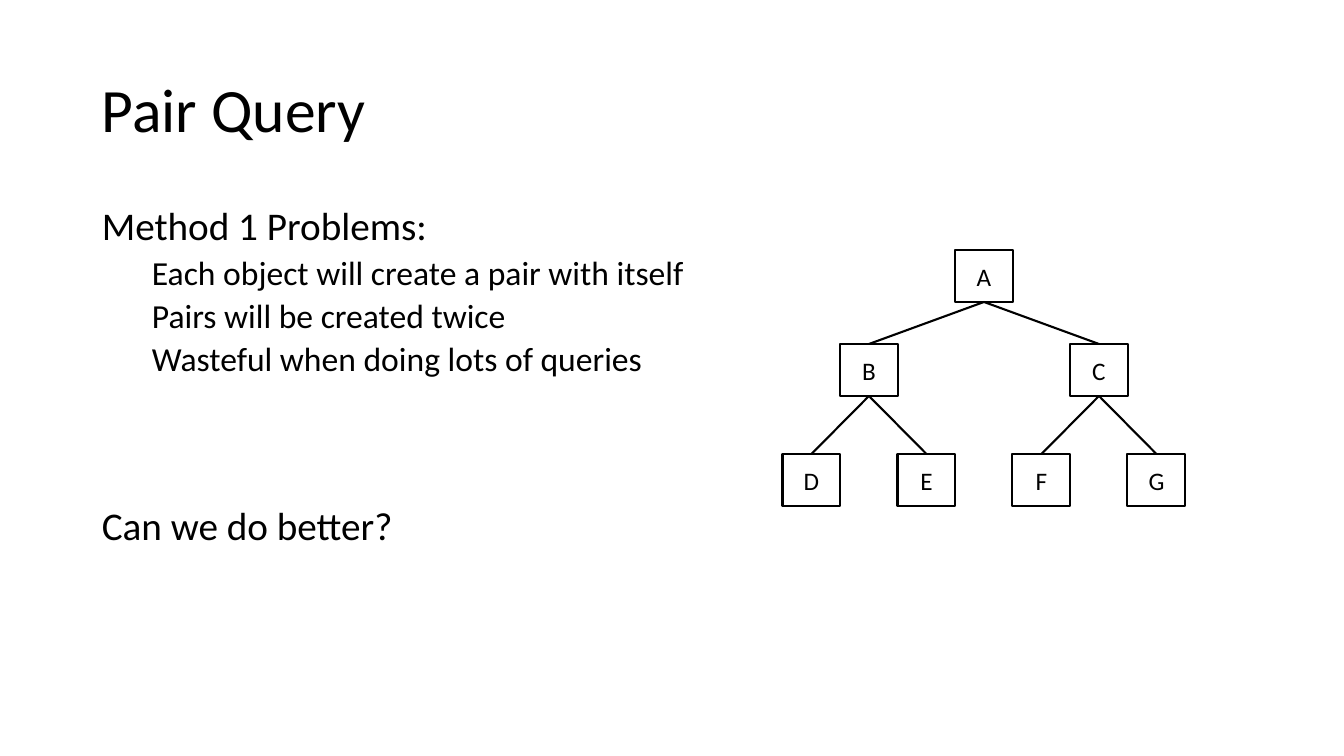
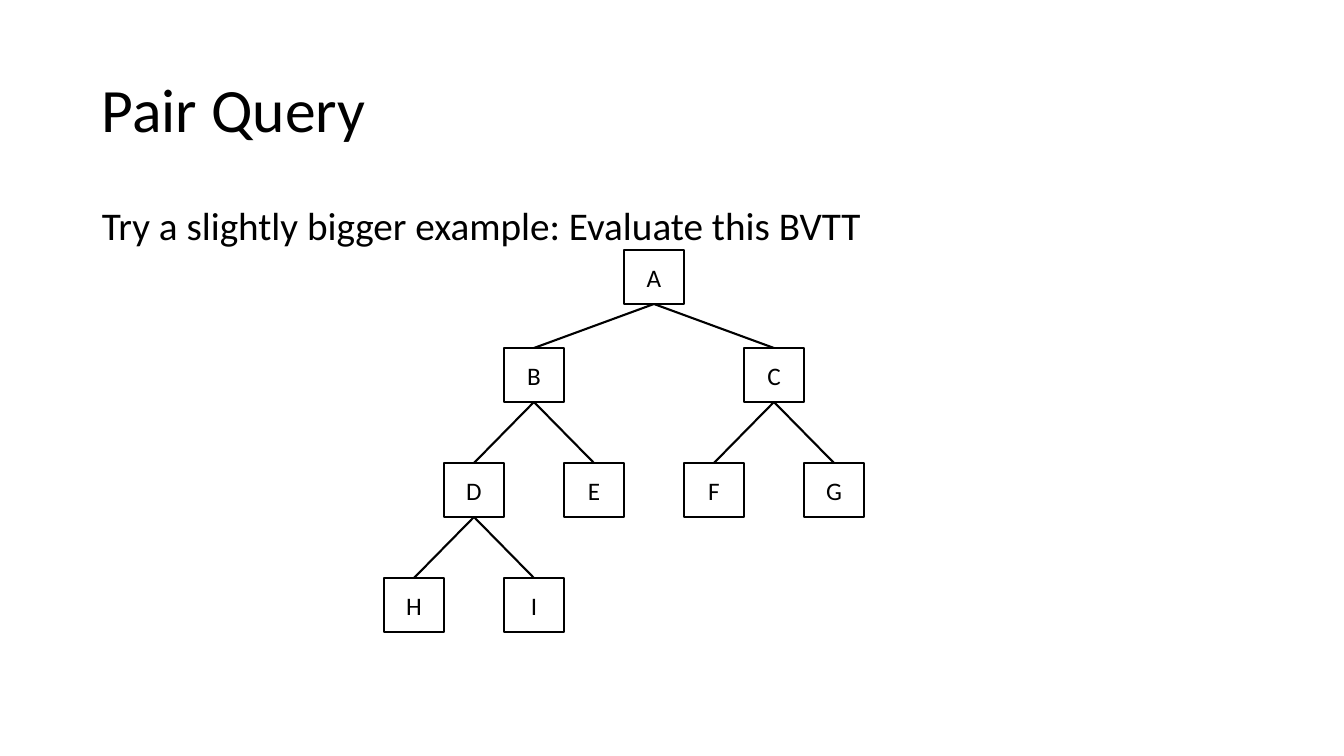
from dataclasses import dataclass

from pptx import Presentation, util as u
from pptx.dml.color import RGBColor
from pptx.enum import shapes, text
from pptx.oxml.ns import qn

SLIDE_W, SLIDE_H = 1344, 756
SCALE = 12192000 / SLIDE_W  # EMU per px


def px(n):
    return u.Emu(round(n * SCALE))


@dataclass(frozen=True)
class Theme:
    font: str = "Calibri"
    ink: RGBColor = RGBColor(0, 0, 0)
    title: int = 44
    body: int = 28
    sub: int = 24
    node: int = 18
    line: float = 1.5
    leading: float = 0.9


@dataclass(frozen=True)
class TreeLayout:
    root_x: int   # centre of the root node
    spread: int   # sideways step to the second level, halved below it
    tops: tuple   # top of each level
    size: tuple   # node width and height


class Deck:
    def __init__(self, theme):
        self.theme = theme
        self.prs = Presentation()
        self.prs.slide_width, self.prs.slide_height = px(SLIDE_W), px(SLIDE_H)
        self.s = None

    def slide(self, title):
        self.s = self.prs.slides.add_slide(self.prs.slide_layouts[6])
        tf = self.box(92, 40, 1160, 146)
        tf.vertical_anchor = text.MSO_ANCHOR.MIDDLE
        self.set_text(tf.paragraphs[0], title, self.theme.title)

    def box(self, x, y, w, h):
        tf = self.s.shapes.add_textbox(px(x), px(y), px(w), px(h)).text_frame
        tf.word_wrap = True
        return tf

    def set_text(self, p, words, size):
        p.text = words
        p.line_spacing = self.theme.leading
        p.font.name, p.font.size = self.theme.font, u.Pt(size)
        p.font.color.rgb = self.theme.ink

    def body(self, items):
        """Each item is (words, is_sub, points before)."""
        tf = self.box(92, 202, 1160, 507)
        for i, (words, is_sub, before) in enumerate(items):
            p = tf.add_paragraph() if i else tf.paragraphs[0]
            if is_sub:
                p._p.get_or_add_pPr().set("marL", str(px(50)))
            self.set_text(p, words, self.theme.sub if is_sub else self.theme.body)
            p.space_before = u.Pt(before)

    def node(self, label, cx, top, size):
        w, h = size
        sp = self.s.shapes.add_shape(shapes.MSO_SHAPE.RECTANGLE,
                                     px(cx - w / 2), px(top), px(w), px(h))
        sp.shadow.inherit = False
        sp.fill.background()
        sp.line.color.rgb, sp.line.width = self.theme.ink, u.Pt(self.theme.line)
        sp.text_frame.vertical_anchor = text.MSO_ANCHOR.MIDDLE
        p = sp.text_frame.paragraphs[0]
        self.set_text(p, label, self.theme.node)
        p.line_spacing = 1.0
        p.alignment = text.PP_ALIGN.CENTER
        return sp

    def edge(self, parent, child):
        cn = self.s.shapes.add_connector(shapes.MSO_CONNECTOR.STRAIGHT, 0, 0, 0, 0)
        cn.begin_connect(parent, 2)  # bottom centre
        cn.end_connect(child, 0)     # top centre
        cn.line.color.rgb, cn.line.width = self.theme.ink, u.Pt(self.theme.line)
        cn._element.spPr.append(cn._element.makeelement(qn("a:effectLst"), {}))

    def tree(self, children, layout, label="A", cx=None, level=0):
        cx = layout.root_x if cx is None else cx
        sp = self.node(label, cx, layout.tops[level], layout.size)
        step = layout.spread / (2 if level else 1)
        for child, side in zip(children.get(label, ""), (-1, 1)):
            below = self.tree(children, layout, child, cx + side * step, level + 1)
            self.edge(sp, below)
        return sp


def main():
    deck = Deck(Theme())
    small = {"A": "BC", "B": "DE", "C": "FG"}

    # Problems with the first method
    deck.slide("Pair Query")
    deck.body([
        ("Method 1 Problems:", False, 0),
        ("Each object will create a pair with itself", True, 5),
        ("Pairs will be created twice", True, 5),
        ("Wasteful when doing lots of queries", True, 5),
        ("Can we do better?", False, 91),
    ])
    deck.tree(small, TreeLayout(984, 115, (250, 344, 454), (58, 52)))

    # Larger example
    deck.slide("Pair Query")
    deck.body([("Try a slightly bigger example: Evaluate this BVTT", False, 0)])
    deck.tree({**small, "D": "HI"},
              TreeLayout(654, 120, (250, 348, 463, 578), (60, 54)))

    deck.prs.save("out.pptx")


if __name__ == "__main__":
    main()
